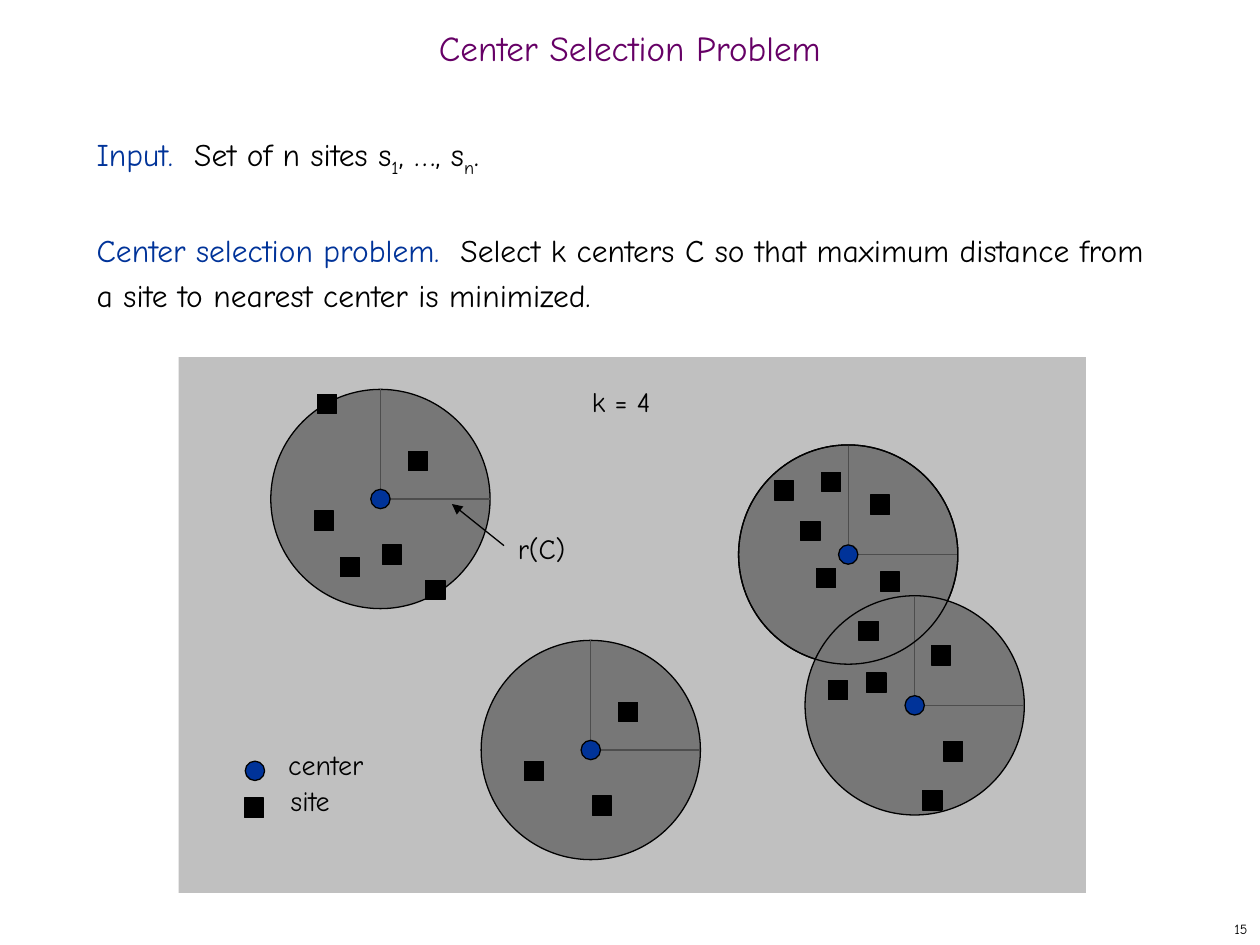
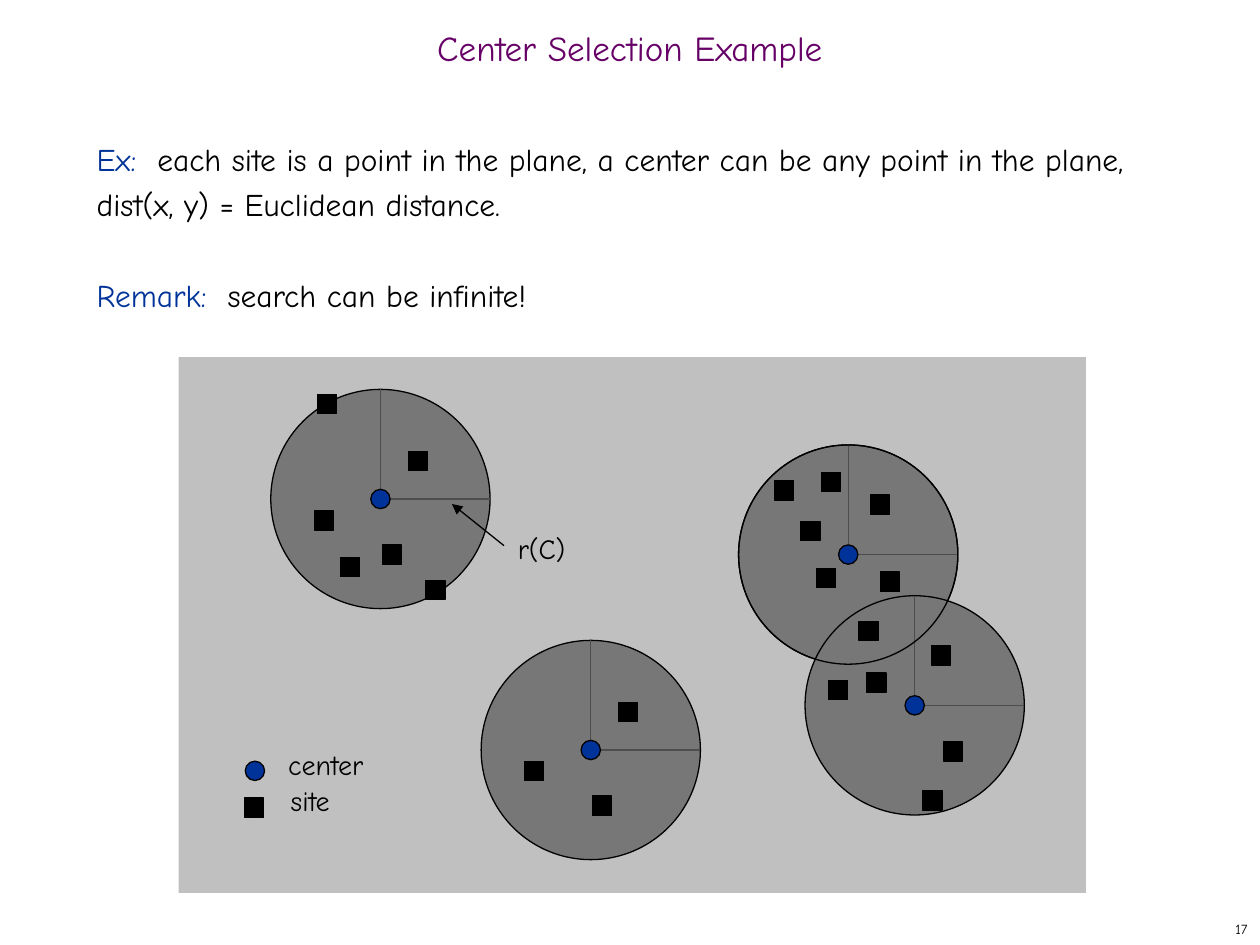
"""Build two slides on the center selection problem."""
from dataclasses import dataclass

from lxml import etree
from pptx import Presentation
from pptx import util as u
from pptx.dml.color import RGBColor
from pptx.enum import shapes, text
from pptx.oxml.ns import qn

SLIDES = [
    {
        "title": "Center Selection Problem",
        "body": [
            [("Input.  ", "key"), ("Set of n sites s", ""), ("1", "sub"),
             (", …, s", ""), ("n", "sub"), (".", "")],
            [("Center selection problem.  ", "key"),
             ("Select k centers C so that maximum distance from a site "
              "to nearest center is minimized.", "")],
        ],
        "notes": [("k = 4", 11.68, 7.62)],
        "page": "15",
    },
    {
        "title": "Center Selection Example",
        "body": [
            [("Ex:  ", "key"),
             ("each site is a point in the plane, a center can be any point "
              "in the plane, dist(x, y) = Euclidean distance.", "")],
            [("Remark:  ", "key"), ("search can be infinite!", "")],
        ],
        "notes": [],
        "page": "17",
    },
]

PANEL = (3.6, 7.2, 18.29, 10.8)
RADIUS, MARK = 2.21, 0.39
CENTERS = [(7.67, 10.06), (17.1, 11.18), (18.44, 14.22), (11.91, 15.12)]
HIDDEN = 1
SITES = [
    (6.4, 7.95), (8.23, 9.1), (6.34, 10.3), (7.71, 10.99), (6.86, 11.24),
    (8.58, 11.7),
    (16.56, 9.52), (15.61, 9.69), (17.55, 9.98), (16.14, 10.51),
    (16.46, 11.46), (17.75, 11.53), (17.32, 12.53),
    (18.78, 13.02), (17.47, 13.57), (16.7, 13.72), (19.02, 14.95),
    (18.6, 15.94),
    (12.47, 14.16), (10.57, 15.35), (11.94, 16.05),
]
KEY_DOT, KEY_SITE = (5.14, 15.54), (4.93, 16.09)
LABELS = [("center", 5.56, 14.94), ("site", 5.61, 15.67), ("r(C)", 10.19, 10.59)]
ARROW = (10.16, 11, 9.11, 10.16)


@dataclass(frozen=True)
class Theme:
    font: str = "Comic Neue"
    ink: str = "000000"
    head: str = "660066"
    key: str = "003399"
    panel: str = "C0C0C0"
    ball: str = "777777"
    spoke: str = "4D4D4D"
    title: int = 20
    body: int = 18
    label: int = 16
    page: int = 8
    lead: int = 26
    line: float = 0.75


T = Theme()


def style(run, size, color=T.ink):
    run.font.name = T.font
    run.font.size = u.Pt(size)
    run.font.color.rgb = RGBColor.from_string(color)


def draw(slide, kind, box, fill=None, line=T.ink):
    shape = slide.shapes.add_shape(kind, *map(u.Cm, box))
    shape.shadow.inherit = False
    if fill:
        shape.fill.solid()
        shape.fill.fore_color.rgb = RGBColor.from_string(fill)
    else:
        shape.fill.background()
    if line:
        shape.line.color.rgb = RGBColor.from_string(line)
        shape.line.width = u.Pt(T.line)
    else:
        shape.line.fill.background()


def disc(slide, mid, radius, fill=None):
    x, y = mid
    box = (x - radius, y - radius, 2 * radius, 2 * radius)
    draw(slide, shapes.MSO_SHAPE.OVAL, box, fill)


def site(slide, spot):
    draw(slide, shapes.MSO_SHAPE.RECTANGLE, (*spot, MARK, MARK), T.ink)


def link(slide, ends, color, arrow=False):
    line = slide.shapes.add_connector(shapes.MSO_CONNECTOR.STRAIGHT, *map(u.Cm, ends))
    line.line.color.rgb = RGBColor.from_string(color)
    line.line.width = u.Pt(T.line)
    props = line._element.spPr
    if arrow:
        etree.SubElement(props.find(qn("a:ln")), qn("a:tailEnd"), type="triangle")
    etree.SubElement(props, qn("a:effectLst"))


def write(slide, words, box, size, color=T.ink, align=text.PP_ALIGN.LEFT,
          anchor=text.MSO_ANCHOR.TOP):
    frame = slide.shapes.add_textbox(*map(u.Cm, box)).text_frame
    frame.word_wrap = True
    frame.vertical_anchor = anchor
    frame.text = words
    para = frame.paragraphs[0]
    para.alignment = align
    for run in para.runs:
        style(run, size, color)
    return frame


def label(slide, words, x, y):
    write(slide, words, (x, y, 2.5, 0.94), T.label)


def prose(slide, parts):
    frame = write(slide, "", (1.7, 2.54, 21.79, 15.04), T.body)
    for i, runs in enumerate(parts):
        para = frame.add_paragraph() if i else frame.paragraphs[0]
        para.line_spacing = u.Pt(T.lead)
        para.space_before = u.Pt(T.lead if i else 0)
        for words, role in runs:
            run = para.add_run()
            run.text = words
            style(run, T.body, T.key if role == "key" else T.ink)
            if role == "sub":
                run._r.get_or_add_rPr().set("baseline", "-25000")


def plot(slide):
    draw(slide, shapes.MSO_SHAPE.RECTANGLE, PANEL, T.panel, None)
    for x, y in CENTERS:
        disc(slide, (x, y), RADIUS, T.ball)
        link(slide, (x + MARK / 2, y, x + RADIUS, y), T.spoke)
        link(slide, (x, y - MARK / 2, x, y - RADIUS), T.spoke)
        disc(slide, (x, y), MARK / 2, T.key)
    disc(slide, CENTERS[HIDDEN], RADIUS)
    disc(slide, KEY_DOT, MARK / 2, T.key)
    for spot in [KEY_SITE, *SITES]:
        site(slide, spot)
    link(slide, ARROW, T.ink, arrow=True)


def build(deck, data):
    slide = deck.slides.add_slide(deck.slide_layouts[6])
    plot(slide)
    head = write(slide, data["title"], (0, 0.43, 25.4, 1.27), T.title, T.head,
                 text.PP_ALIGN.CENTER, text.MSO_ANCHOR.MIDDLE)
    head.paragraphs[0].line_spacing = 0.7
    prose(slide, data["body"])
    for item in LABELS + data["notes"]:
        label(slide, *item)
    write(slide, data["page"], (20.12, 18.42, 5.28, 0.63), T.page,
          align=text.PP_ALIGN.RIGHT, anchor=text.MSO_ANCHOR.MIDDLE)


def main():
    deck = Presentation()
    deck.slide_width, deck.slide_height = u.Cm(25.4), u.Cm(19.05)
    for data in SLIDES:
        build(deck, data)
    deck.save("out.pptx")


if __name__ == "__main__":
    main()
